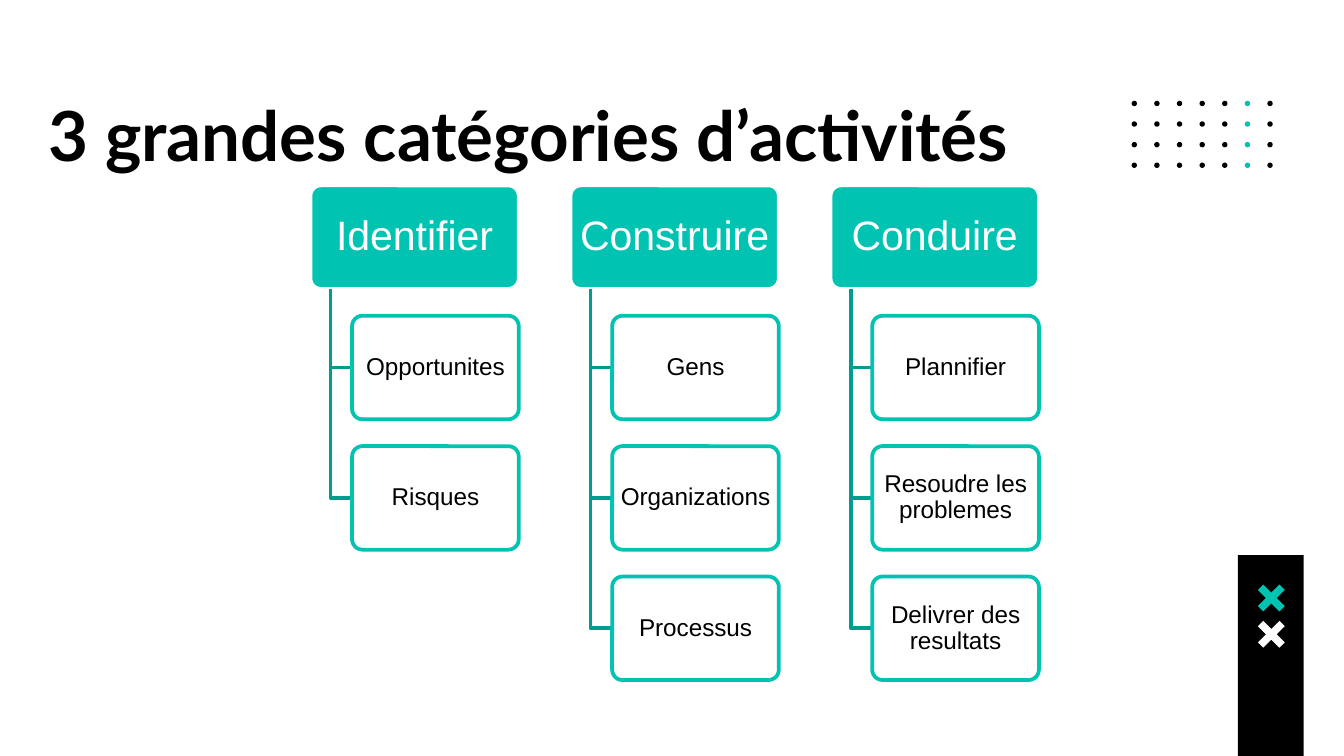
from pptx import Presentation
from pptx.dml.color import RGBColor
from pptx.enum.shapes import MSO_SHAPE
from pptx.enum.text import MSO_ANCHOR, MSO_AUTO_SIZE, PP_ALIGN
from pptx.util import Inches, Pt

# Content
TITLE = "3 grandes catégories d’activités"
GROUPS = [
    ("Identifier", ["Opportunites", "Risques"]),
    ("Construire", ["Gens", "Organizations", "Processus"]),
    ("Conduire", ["Plannifier", "Resoudre les problemes", "Delivrer des resultats"]),
]
COLORS = {"teal": "00C3B1", "deep": "009C8E", "black": "000000", "white": "FFFFFF"}

# Grid, in inches
WIDE = 10
HIGH = WIDE * 9 / 16
LEFT, TOP = 2.31, 1.38
COL, ROW = 3.87 / 2, 0.97    # column and row pitch
HEAD, BOX = 1.55, 0.77       # head width, box height
STEM, INDENT = 0.15, 0.31
DOTS = (7, 4)                # dot columns and rows
CROSS = [(-0.06, -0.1), (-0.1, -0.06), (-0.04, 0)]


def color(name):
    return RGBColor.from_string(COLORS[name])


def write(shape, text, font="Arial", size=13, tint="black", bold=False,
          align=PP_ALIGN.CENTER, anchor=MSO_ANCHOR.MIDDLE, pad=(0.03, 0.02), space=0.9):
    frame = shape.text_frame
    frame.word_wrap = True
    frame.auto_size = MSO_AUTO_SIZE.NONE
    frame.vertical_anchor = anchor
    frame.margin_left = frame.margin_right = Inches(pad[0])
    frame.margin_top = frame.margin_bottom = Inches(pad[1])
    para = frame.paragraphs[0]
    para.alignment, para.line_spacing = align, space
    run = para.add_run()
    run.text = text
    run.font.name, run.font.size, run.font.bold = font, Pt(size), bold
    run.font.color.rgb = color(tint)


def paint(shape, fill=None, line=None):
    shape.shadow.inherit = False
    if fill:
        shape.fill.solid()
        shape.fill.fore_color.rgb = color(fill)
    else:
        shape.fill.background()
    if line:
        shape.line.color.rgb = color(line)
        shape.line.width = Pt(2)
    else:
        shape.line.fill.background()
    return shape


def add(slide, kind, x, y, w, h, fill, line=None):
    shape = slide.shapes.add_shape(kind, Inches(x), Inches(y), Inches(w), Inches(h))
    return paint(shape, fill, line)


def card(slide, x, y, w, fill, line):
    shape = add(slide, MSO_SHAPE.ROUNDED_RECTANGLE, x, y, w, BOX, fill, line)
    shape.adjustments[0] = 0.1
    return shape


def trace(slide, points, close, **style):
    spots = [(Inches(x), Inches(y)) for x, y in points]
    pen = slide.shapes.build_freeform(*spots[0], scale=1.0)
    pen.add_line_segments(spots[1:], close=close)
    return paint(pen.convert_to_shape(), **style)


def main():
    deck = Presentation()
    deck.slide_width, deck.slide_height = Inches(WIDE), Inches(HIGH)
    slide = deck.slides.add_slide(deck.slide_layouts[5])

    # Dot grid, with the next to last column in teal
    cols, rows = DOTS
    for row in range(rows):
        for col in range(cols):
            add(slide, MSO_SHAPE.OVAL, 8.42 + 1.01 * col / (cols - 1),
                0.75 + 0.46 * row / (rows - 1), 0.04, 0.04,
                "teal" if col == cols - 2 else "black")

    # Corner bar with two crosses
    add(slide, MSO_SHAPE.RECTANGLE, 9.21, 4.13, 0.49, HIGH - 4.13, "black")
    half = CROSS + [(x, -y) for x, y in CROSS[1::-1]] + [(0, 0.04)]
    shape = half + [(-x, -y) for x, y in half]
    for mid, tint in ((4.45, "teal"), (4.72, "white")):
        trace(slide, [(9.46 + x, mid + y) for x, y in shape], True, fill=tint)

    # Title
    title = slide.shapes.title
    title.left, title.top = Inches(0.26), Inches(0.59)
    title.width, title.height = Inches(8.86), Inches(0.79)
    write(title, TITLE, font="Lato", size=37, bold=True, align=PP_ALIGN.LEFT,
          anchor=MSO_ANCHOR.TOP, pad=(0.1, 0.1), space=1.0)

    # Three trees: a head, then its boxes on a stem
    for col, (name, items) in enumerate(GROUPS):
        x = LEFT + col * COL
        head = card(slide, x, TOP, HEAD, "teal", "white")
        write(head, name, size=22, tint="white")
        for row, item in enumerate(items, 1):
            y = TOP + row * ROW
            mid = y + BOX / 2
            trace(slide, [(x + STEM, TOP + BOX), (x + STEM, mid), (x + INDENT, mid)],
                  False, line="deep")
            box = card(slide, x + INDENT, y, HEAD - INDENT, "white", "teal")
            write(box, item)

    deck.save("out.pptx")


if __name__ == "__main__":
    main()
